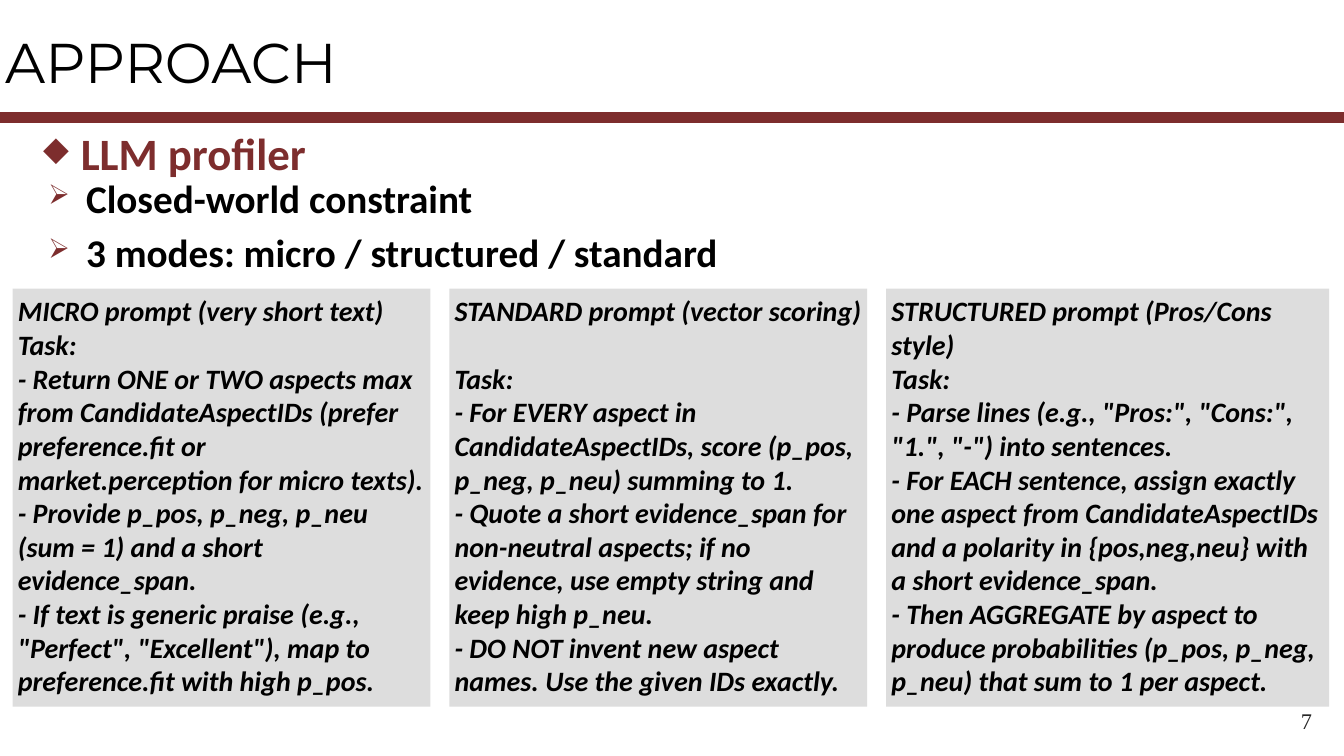
from lxml import etree
from pptx import Presentation
from pptx.dml.color import RGBColor
from pptx.enum.shapes import MSO_CONNECTOR as Conn, MSO_SHAPE as Shape
from pptx.enum.text import MSO_ANCHOR as Anchor, MSO_AUTO_SIZE as Fit, PP_ALIGN as Align
from pptx.oxml.ns import qn
from pptx.util import Pt

PX = 9525  # EMU per px, 96 px to the inch
WIDE, HIGH = 1280, 720
INSET = 5

MAROON = RGBColor(0x7D, 0x2D, 0x2D)
BLACK = RGBColor(0, 0, 0)
GREY = RGBColor(0xDD, 0xDD, 0xDD)
DARK = RGBColor(0x26, 0x26, 0x26)

CARD_TOP, CARD_HIGH, CARD_LEFT, CARD_STEP = 275, 398, 12, 416

# Width, gap in points above "Task:", lines
CARDS = [
    (398, 0, [
        "MICRO prompt (very short text)",
        "Task:",
        "- Return ONE or TWO aspects max from CandidateAspectIDs (prefer "
        "preference.fit or market.perception for micro texts).",
        "- Provide p_pos, p_neg, p_neu (sum = 1) and a short evidence_span.",
        '- If text is generic praise (e.g., "Perfect", "Excellent"), map to '
        "preference.fit with high p_pos.",
    ]),
    (398, 24, [
        "STANDARD prompt (vector scoring)",
        "Task:",
        "- For EVERY aspect in CandidateAspectIDs, score (p_pos, p_neg, p_neu) "
        "summing to 1.",
        "- Quote a short evidence_span for non-neutral aspects; if no evidence, "
        "use empty string and keep high p_neu.",
        "- DO NOT invent new aspect names. Use the given IDs exactly.",
    ]),
    (422, 0, [
        "STRUCTURED prompt (Pros/Cons style)",
        "Task:",
        '- Parse lines (e.g., "Pros:", "Cons:", "1.", "-") into sentences.',
        "- For EACH sentence, assign exactly one aspect from CandidateAspectIDs "
        "and a polarity in {pos,neg,neu} with a short evidence_span.",
        "- Then AGGREGATE by aspect to produce probabilities (p_pos, p_neg, "
        "p_neu) that sum to 1 per aspect.",
    ]),
]


def px(*nums):
    return [num * PX for num in nums]


def set_frame(frame, anchor=Anchor.TOP, fit=Fit.NONE, wrap=True, side=INSET):
    frame.word_wrap = wrap
    frame.auto_size = fit
    frame.vertical_anchor = anchor
    frame.margin_left = frame.margin_right = side * PX
    frame.margin_top = frame.margin_bottom = INSET * PX


def set_lines(frame, lines, size, face, color, bold=False, italic=False,
              align=Align.LEFT):
    frame.text = "\n".join(lines)
    for para in frame.paragraphs:
        para.alignment = align
        font = para.font
        font.size, font.name = Pt(size), face
        font.bold, font.italic = bold, italic
        font.color.rgb = color


def add_bullet(para, mark, percent, indent):
    props = para._p.get_or_add_pPr()
    props.set("marL", str(indent * PX))
    props.set("indent", str(-indent * PX))
    tint = etree.SubElement(props, qn("a:buClr"))
    etree.SubElement(tint, qn("a:srgbClr"), val=str(MAROON))
    etree.SubElement(props, qn("a:buSzPct"), val=str(percent * 1000))
    etree.SubElement(props, qn("a:buFont"), typeface="OpenSymbol")
    etree.SubElement(props, qn("a:buChar"), char=mark)
    # Bullet marks come before the default run properties
    fonts = props.find(qn("a:defRPr"))
    if fonts is not None:
        props.append(fonts)


def add_rule(slide, y):
    rule = slide.shapes.add_connector(Conn.STRAIGHT, *px(0, y, WIDE, y))
    rule.line.color.rgb = MAROON
    rule.line.width = Pt(8)
    etree.SubElement(rule._element.spPr, qn("a:effectLst"))


def add_title(slide, text):
    title = slide.shapes.title
    title.left, title.top, title.width, title.height = px(0, 17, 361, 83)
    set_frame(title.text_frame, Anchor.MIDDLE)
    set_lines(title.text_frame, [text], 40, "Montserrat", BLACK)


def add_list(slide, box, lines, size, color, mark, percent, indent,
             before, after=0, **frame_args):
    frame = slide.shapes.add_textbox(*px(*box)).text_frame
    set_frame(frame, **frame_args)
    set_lines(frame, lines, size, "Calibri", color, bold=True)
    for para in frame.paragraphs:
        para.space_before, para.space_after = Pt(before), Pt(after)
        add_bullet(para, mark, percent, indent)


def add_card(slide, left, width, gap, lines):
    card = slide.shapes.add_shape(
        Shape.RECTANGLE, *px(left, CARD_TOP, width, CARD_HIGH))
    card.shadow.inherit = False
    card.fill.solid()
    card.fill.fore_color.rgb = GREY
    card.line.fill.background()
    frame = card.text_frame
    set_frame(frame, fit=Fit.SHAPE_TO_FIT_TEXT)
    set_lines(frame, lines, 20, "Calibri", BLACK, bold=True, italic=True)
    if gap:
        frame.paragraphs[1].space_before = Pt(gap)


def add_number(slide, text):
    frame = slide.shapes.add_textbox(*px(1234, 669, 20, 35)).text_frame
    set_frame(frame, Anchor.MIDDLE, Fit.SHAPE_TO_FIT_TEXT, wrap=False)
    set_lines(frame, [text], 16, "Times New Roman", DARK, align=Align.RIGHT)


def main():
    deck = Presentation()
    deck.slide_width, deck.slide_height = px(WIDE, HIGH)
    slide = deck.slides.add_slide(deck.slide_layouts[5])

    # Header
    add_rule(slide, 112)
    add_title(slide, "APPROACH")

    # Heading and points
    add_list(slide, (31, 115, 645, 61), ["LLM profiler"], 32, MAROON,
             "◆", 75, 36, before=12, after=12,
             fit=Fit.SHAPE_TO_FIT_TEXT, side=10)
    add_list(slide, (41, 161, 1124, 463),
             ["Closed-world constraint", "3 modes: micro / structured / standard"],
             28, BLACK, "➢", 70, 36, before=5)

    # Prompt cards
    for col, (width, gap, lines) in enumerate(CARDS):
        add_card(slide, CARD_LEFT + col * CARD_STEP, width, gap, lines)

    add_number(slide, "7")
    deck.save("out.pptx")


if __name__ == "__main__":
    main()
